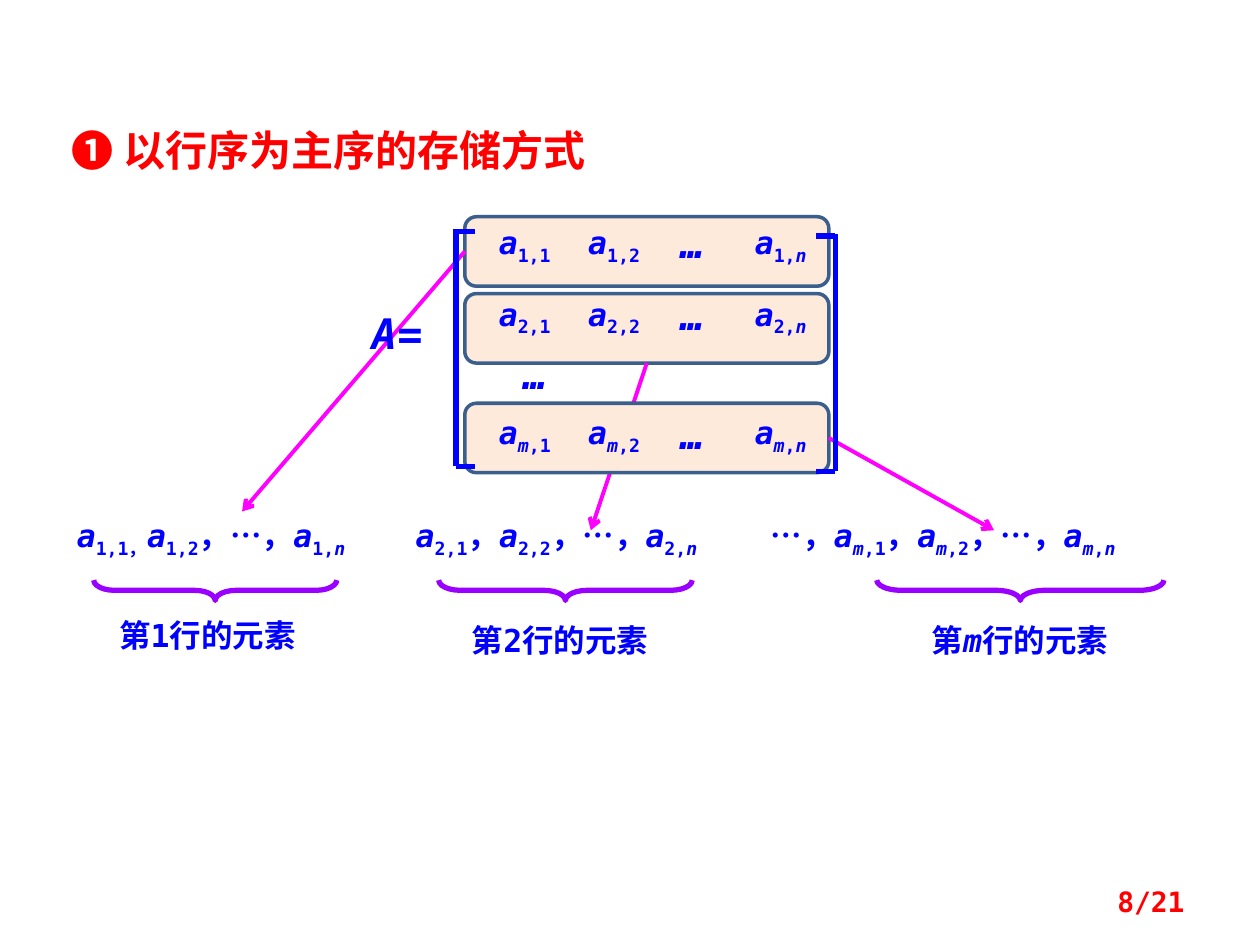
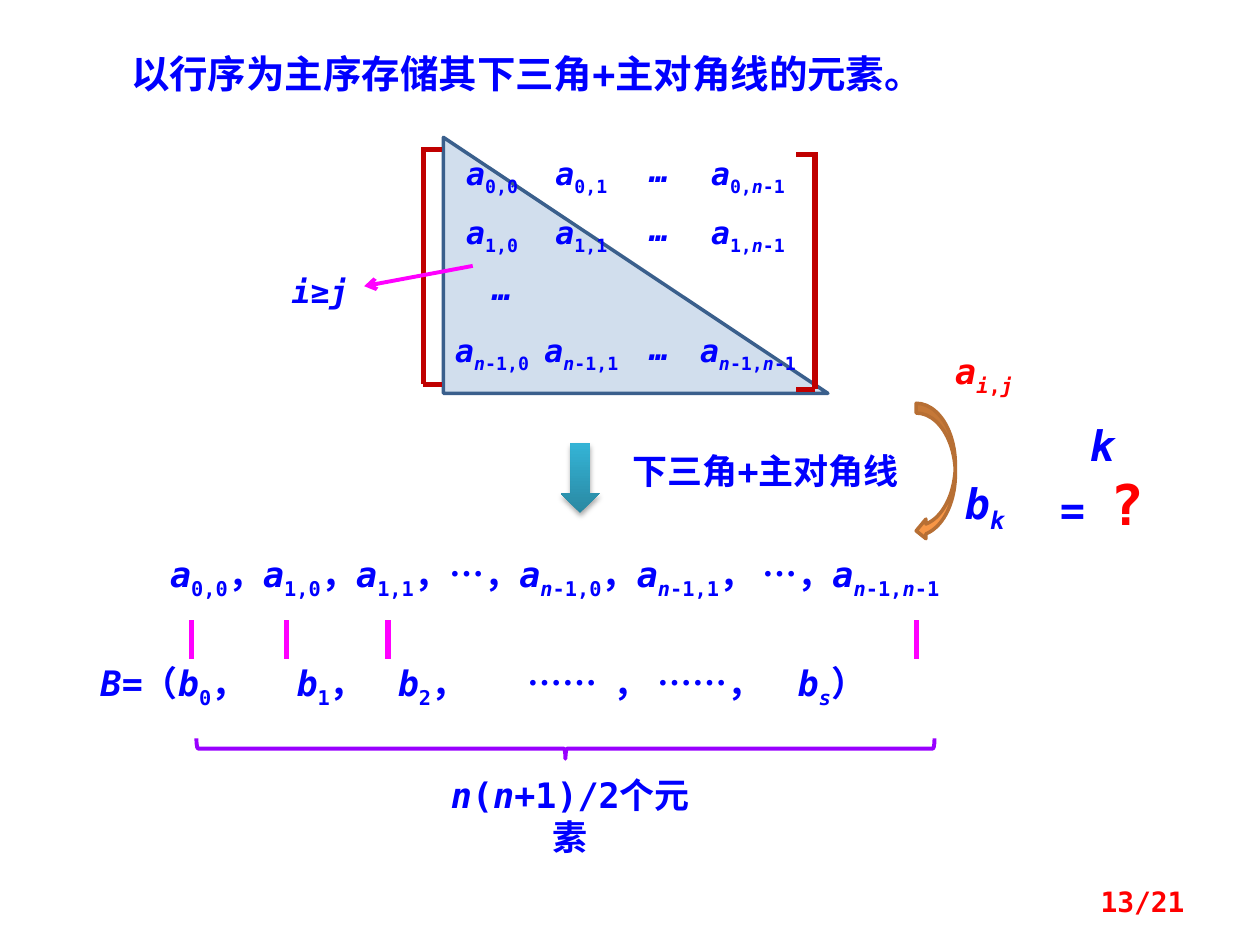
from itertools import groupby

from lxml.etree import SubElement
from pptx import Presentation
from pptx.dml.color import RGBColor
from pptx.enum.lang import MSO_LANGUAGE_ID
from pptx.enum.shapes import MSO_CONNECTOR, MSO_SHAPE
from pptx.enum.text import MSO_ANCHOR, MSO_AUTO_SIZE, PP_ALIGN
from pptx.oxml.ns import qn
from pptx.util import Cm, Pt

FONT = "DejaVu Sans Mono"
BLUE = RGBColor(0x00, 0x00, 0xFF)
RED = RGBColor(0xFF, 0x00, 0x00)
DARK_RED = RGBColor(0xC0, 0x00, 0x00)
MAGENTA = RGBColor(0xFF, 0x00, 0xFF)
PURPLE = RGBColor(0x99, 0x00, 0xFF)
PEACH = RGBColor(0xFD, 0xEA, 0xDA)
OUTLINE = RGBColor(0x3A, 0x5F, 0x8C)
TRIANGLE_BLUE = RGBColor(0x4F, 0x81, 0xBD)
TEAL_DARK = RGBColor(0x2A, 0x88, 0xA2)
TEAL_LIGHT = RGBColor(0x34, 0xB4, 0xD6)
ORANGE = RGBColor(0xF7, 0x96, 0x46)
BROWN = RGBColor(0xB7, 0x6F, 0x34)


def split_formula(formula):
    subscript = False
    letters = []
    for letter in formula:
        if letter in "[]":
            subscript = letter == "["
        else:
            is_variable = letter.isascii() and letter.isalpha()
            letters.append((letter, is_variable, subscript))
    for (variable, low), group in groupby(letters, key=lambda item: item[1:]):
        yield "".join(item[0] for item in group), variable, low


def add_formula(paragraph, formula, size, color=BLUE, italic=False):
    for text, variable, low in split_formula(formula):
        run = paragraph.add_run()
        run.text = text
        font = run.font
        font.name, font.size, font.bold = FONT, Pt(size), True
        font.italic = variable or italic
        font.color.rgb = color
        font.language_id = MSO_LANGUAGE_ID.SIMPLIFIED_CHINESE
        if low:
            font._element.set("baseline", "-25000")


def add_label(slide, box, formula, size, color=BLUE, align=PP_ALIGN.CENTER,
              italic=False, inset=True):
    label = slide.shapes.add_textbox(*map(Cm, box))
    frame = label.text_frame
    frame.word_wrap = True
    if not inset:
        frame.margin_left = frame.margin_right = 0
        frame.margin_top = frame.margin_bottom = 0
    paragraph = frame.paragraphs[0]
    paragraph.alignment = align
    add_formula(paragraph, formula, size, color, italic)
    return frame


def add_heading(slide, box, text, size, color):
    heading = slide.shapes.title
    heading.left, heading.top, heading.width, heading.height = map(Cm, box)
    frame = heading.text_frame
    frame.auto_size = MSO_AUTO_SIZE.NONE
    frame.vertical_anchor = MSO_ANCHOR.TOP
    frame.paragraphs[0].alignment = PP_ALIGN.LEFT
    add_formula(frame.paragraphs[0], text, size, color)


def add_page_number(slide, page):
    frame = add_label(slide, (18.21, 17.65, 5.92, 1.02), f"{page}/21", 16,
                      RED, PP_ALIGN.RIGHT)
    frame.vertical_anchor = MSO_ANCHOR.MIDDLE


def add_figure(slide, preset, box, fill=None, line=None, weight=2):
    figure = slide.shapes.add_shape(preset, *map(Cm, box))
    figure.shadow.inherit = False
    if fill is None:
        figure.fill.background()
    else:
        figure.fill.solid()
        figure.fill.fore_color.rgb = fill
    if line is None:
        figure.line.fill.background()
    else:
        figure.line.color.rgb = line
        figure.line.width = Pt(weight)
    return figure


def add_line(slide, start, end, color, weight=3, arrow=False):
    line = slide.shapes.add_connector(MSO_CONNECTOR.STRAIGHT,
                                      *map(Cm, (*start, *end)))
    line.line.color.rgb = color
    line.line.width = Pt(weight)
    SubElement(line._element.spPr, qn("a:effectLst"))
    if arrow:
        SubElement(line.line._get_or_add_ln(), qn("a:tailEnd"), type="arrow")
    return line


def add_under_brace(slide, center, middle, width, curve, weight):
    depth = 0.41
    box = (center - depth / 2, middle - width / 2, depth, width)
    brace = add_figure(slide, MSO_SHAPE.LEFT_BRACE, box, None, PURPLE, weight)
    brace.rotation = 270
    brace.adjustments[0] = curve


def add_bracket(slide, x, top, arm, color):
    height = 4.78
    add_line(slide, (x, top), (x, top + height), color)
    for y in (top + 0.04, top + height):
        add_line(slide, (x, y), (x + arm, y), color)


def add_matrix(slide, left, top, width, first_row, rows, color, dots_size):
    def add_dots(x, y):
        add_label(slide, (left + x, top + y, 1.6, 0.8), "…", dots_size,
                  italic=True, inset=False)

    add_bracket(slide, left, top, 0.39, color)
    for row_top, subscripts in zip((first_row, 1.32, 3.71), rows):
        for column, subscript in zip((0.39, 2.19, 5.55), subscripts):
            add_label(slide, (left + column, top + row_top, 2, 0.76),
                      f"a[{subscript}]", 18, inset=False)
        add_dots(3.97, row_top - 0.05)
    add_dots(0.8, 2.45)
    add_bracket(slide, left + width, top + 0.1, -0.39, color)


def add_row_bands(slide, left, top):
    bands = (
        (1.55, 2, (11.91, 10.69)),
        (0, 1, (4.88, 10.31)),
        (3.76, 3, (20.04, 10.69)),
    )
    for offset, side, target in bands:
        band = add_figure(slide, MSO_SHAPE.ROUNDED_RECTANGLE,
                          (left, top + offset, 7.34, 1.4), PEACH, OUTLINE)
        arrow = add_line(slide, (left, top), target, MAGENTA, 2.25, True)
        arrow.begin_connect(band, side)


def add_stored_row(slide, box, elements, brace, label):
    left, top, width = box
    brace_center, brace_width, curve = brace
    label_center, label_top, caption = label
    frame = add_label(slide, (left, top, width, 1.17), elements, 18,
                      align=PP_ALIGN.JUSTIFY)
    frame.paragraphs[0].line_spacing = 1.2
    add_under_brace(slide, left + brace_center, top + 1.79, brace_width,
                    curve, 3)
    label_width = 5.21
    add_label(slide, (left + label_center - label_width / 2, top + label_top,
                      label_width, 1.02), caption, 18)


def add_storage_mapping(slide, left, top):
    add_label(slide, (left + 1.4, top, 18.06, 1.12),
              "a[0,0]，a[1,0]，a[1,1]，…，a[n-1,0]，a[n-1,1]， …，a[n-1,n-1]",
              20, align=PP_ALIGN.LEFT)
    frame = add_label(slide, (left, top + 2.19, 19.84, 1.12), "", 20,
                      align=PP_ALIGN.LEFT)
    paragraph = frame.paragraphs[0]
    tabs = SubElement(paragraph._p.get_or_add_pPr(), qn("a:tabLst"))
    for stop in (3.95, 5.99, 8.6, 10.34, 11.23, 14.05):
        SubElement(tabs, qn("a:tab"), pos=str(Cm(stop)), algn="l")
    add_formula(paragraph,
                "B=（b[0]，\tb[1]，\tb[2]，\t……\t，\t……，\tb[s]）", 20)
    for x in (2.08, 3.99, 6.04, 16.69):
        add_line(slide, (left + x, top + 1.48), (left + x, top + 2.26), MAGENTA)
    add_under_brace(slide, left + 9.62, top + 4.07, 14.88, 0.08, 2.25)
    add_label(slide, (left + 6.75, top + 4.45, 5.94, 1.12), "n(n+1)/2个元素", 20)


def add_down_step(slide, left, top):
    step = add_figure(slide, MSO_SHAPE.DOWN_ARROW, (left, top, 0.79, 1.4))
    step.fill.gradient()
    step.fill.gradient_angle = 90
    for stop, color in zip(step.fill.gradient_stops, (TEAL_DARK, TEAL_LIGHT)):
        stop.color.rgb = color
    effects = step._element.spPr.find(qn("a:effectLst"))
    shadow = SubElement(effects, qn("a:outerShdw"), blurRad=str(Pt(3.1)),
                        dist=str(Pt(1.8)), dir="5400000", rotWithShape="0")
    shade = SubElement(shadow, qn("a:srgbClr"), val="000000")
    SubElement(shade, qn("a:alpha"), val="35000")
    add_label(slide, (left + 1.2, top, 6.63, 1.12), "下三角+主对角线", 20,
              align=PP_ALIGN.LEFT)


def add_index_question(slide, left, top):
    add_figure(slide, MSO_SHAPE.CURVED_LEFT_ARROW,
               (left, top + 1.2, 0.79, 2.77), ORANGE, BROWN)
    add_label(slide, (left + 0.38, top, 1.98, 1.12), "a[i,j]", 20, RED)
    add_label(slide, (left + 0.58, top + 2.57, 1.6, 1.27), "b[k]", 24)
    frame = add_label(slide, (left + 2.36, top + 1.4, 2.77, 1.63), "k = ", 24)
    add_formula(frame.paragraphs[0], "?", 32, RED)


def build_row_major_slide(slide):
    add_row_bands(slide, 9.37, 4.37)
    stored_rows = (
        ((1.3, 10.11, 6.83), "a[1,1，]a[1,2]，…，a[1,n]",
         (3.04, 4.9, 1.03), (2.88, 2.18, "第1行的元素")),
        ((8.13, 10.11, 7.14), "a[2,1]，a[2,2]，…，a[2,n]",
         (3.27, 5.11, 1.07), (3.16, 2.29, "第2行的元素")),
        ((15.29, 10.11, 9.12), "…，a[m,1]，a[m,2]，…，a[m,n]",
         (5.28, 5.79, 1.22), (5.27, 2.29, "第m行的元素")),
    )
    for stored_row in stored_rows:
        add_stored_row(slide, *stored_row)
    add_label(slide, (7.21, 6.07, 1.6, 1.27), "A=", 24)
    rows = [[f"{i},{j}" for j in "12n"] for i in "12m"]
    add_matrix(slide, 9.19, 4.62, 7.65, -0.13, rows, BLUE, 22)
    add_heading(slide, (1.19, 2.39, 11.91, 1.27),
                "❶ 以行序为主序的存储方式", 24, RED)
    add_page_number(slide, 8)


def build_lower_triangle_slide(slide):
    triangle = add_figure(slide, MSO_SHAPE.RIGHT_TRIANGLE,
                          (8.94, 2.77, 7.75, 5.16), TRIANGLE_BLUE, OUTLINE)
    tint = triangle._element.spPr.find(qn("a:solidFill"))[0]
    SubElement(tint, qn("a:alpha"), val="26000")
    add_heading(slide, (2.39, 0.89, 18.64, 1.19),
                "以行序为主序存储其下三角+主对角线的元素。", 22, BLUE)
    add_storage_mapping(slide, 1.78, 11.02)
    add_down_step(slide, 11.3, 8.94)
    indices = ("0", "1", "n-1")
    rows = [[f"{i},{j}" for j in indices] for i in indices]
    add_matrix(slide, 8.53, 2.97, 7.9, 0.13, rows, DARK_RED, 18)
    add_line(slide, (9.53, 5.36), (7.34, 5.77), MAGENTA, 2.25, True)
    add_label(slide, (5.16, 5.36, 2.59, 1.02), "i≥j", 18)
    add_index_question(slide, 18.47, 6.93)
    add_page_number(slide, 13)


def main():
    presentation = Presentation()
    presentation.slide_width = Cm(25.4)
    presentation.slide_height = Cm(19.05)
    title_only = presentation.slide_layouts[5]
    for build in (build_row_major_slide, build_lower_triangle_slide):
        build(presentation.slides.add_slide(title_only))
    presentation.save("out.pptx")


if __name__ == "__main__":
    main()
